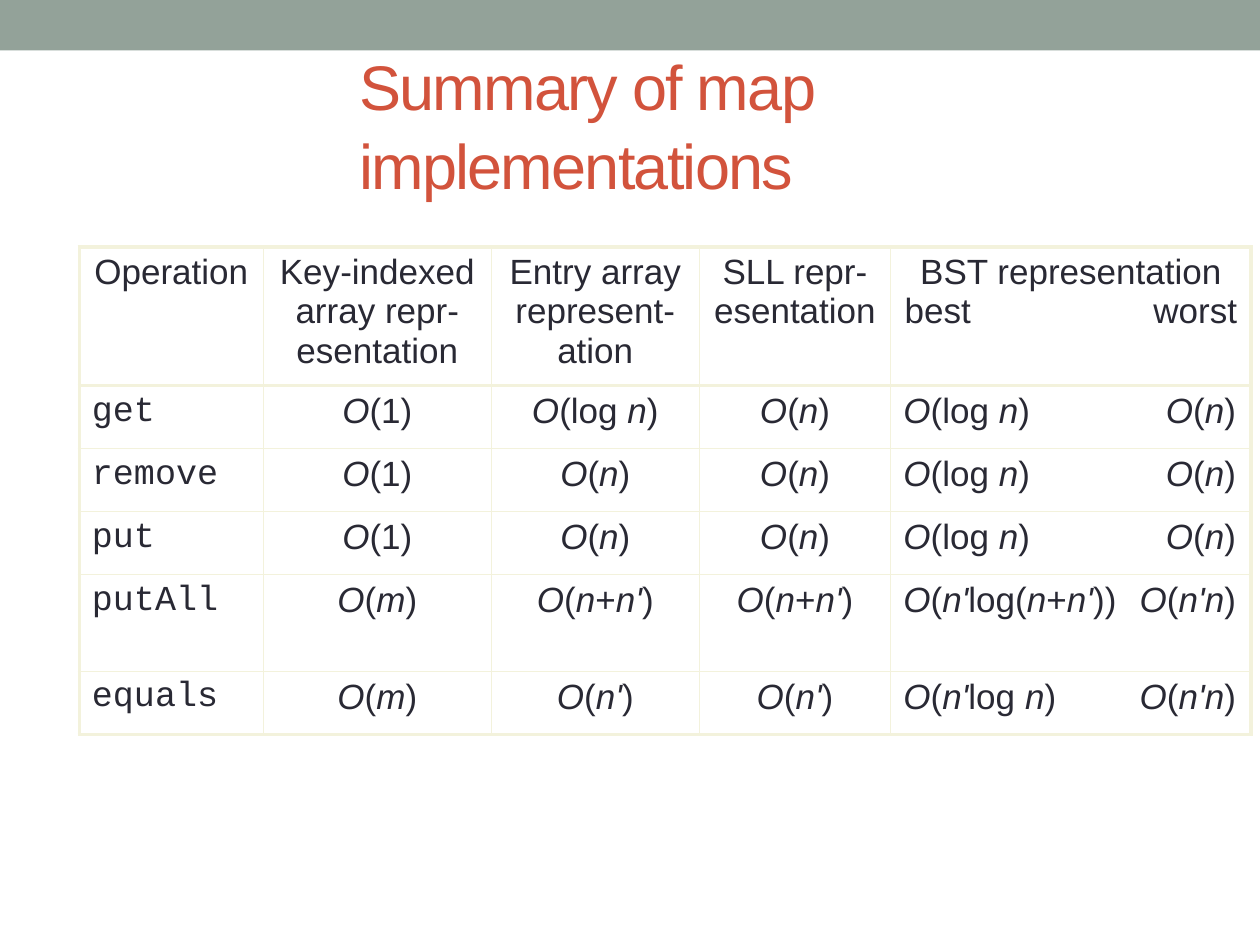
from lxml import etree
from pptx import Presentation
from pptx.dml.color import RGBColor
from pptx.enum.shapes import MSO_SHAPE
from pptx.enum.text import MSO_ANCHOR, MSO_AUTO_SIZE, PP_ALIGN
from pptx.oxml.ns import qn
from pptx.util import Inches, Pt

RECTANGLE = MSO_SHAPE.RECTANGLE
LEFT, CENTER = PP_ALIGN.LEFT, PP_ALIGN.CENTER
MIDDLE, NO_AUTOFIT = MSO_ANCHOR.MIDDLE, MSO_AUTO_SIZE.NONE

BAND, TITLE, TEXT, BORDER, WHITE = "93A299", "D2533C", "292934", "F3F2DC", "FFFFFF"
THICK, THIN = Pt(2.25), Pt(1)

COLUMN_WIDTHS = [1.46, 1.81, 1.65, 1.52, 2.86]
ROW_HEIGHTS = [1.1, 0.5, 0.5, 0.5, 0.77, 0.5]
TAB_POSITION = Inches(2.64)

# Asterisks enclose italic text.
ROWS = [
    ["Operation", "Key-indexed array repr-esentation", "Entry array represent-ation",
     "SLL repr-esentation", "BST representation\nbest\tworst"],
    ["get", "*O*(1)", "*O*(log *n*)", "*O*(*n*)", "*O*(log *n*)\t*O*(*n*)"],
    ["remove", "*O*(1)", "*O*(*n*)", "*O*(*n*)", "*O*(log *n*)\t*O*(*n*)"],
    ["put", "*O*(1)", "*O*(*n*)", "*O*(*n*)", "*O*(log *n*)\t*O*(*n*)"],
    ["putAll", "*O*(*m*)", "*O*(*n*+*n'*)", "*O*(*n*+*n'*)",
     "*O*(*n'*log(*n*+*n'*))\t*O*(*n'n*)"],
    ["equals", "*O*(*m*)", "*O*(*n'*)", "*O*(*n'*)", "*O*(*n'*log *n*)\t*O*(*n'n*)"],
]


def color(value):
    return RGBColor.from_string(value)


def add_border(cell, side, width):
    line = etree.SubElement(cell._tc.get_or_add_tcPr(), qn(f"a:ln{side}"), w=str(width))
    fill = etree.SubElement(line, qn("a:solidFill"))
    etree.SubElement(fill, qn("a:srgbClr"), val=BORDER)


presentation = Presentation()
presentation.slide_width, presentation.slide_height = Inches(10), Inches(7.5)
slide = presentation.slides.add_slide(presentation.slide_layouts[5])

# Top band, behind everything else
band = slide.shapes.add_shape(RECTANGLE, 0, 0, Inches(10), Inches(0.4))
band.shadow.inherit = False
band.fill.solid()
band.fill.fore_color.rgb = color(BAND)
band.line.fill.background()
slide.shapes._spTree.insert(2, band._element)

# Title
title = slide.shapes.title
title.left, title.top = Inches(2.75), Inches(0.58)
title.width, title.height = Inches(6.72), Inches(0.79)
frame = title.text_frame
frame.text = "Summary of map implementations"
frame.vertical_anchor, frame.auto_size, frame.word_wrap = MIDDLE, NO_AUTOFIT, True
paragraph = frame.paragraphs[0]
paragraph.alignment, paragraph.line_spacing = LEFT, 1.05
run = paragraph.runs[0]
run.font.name, run.font.size = "Arial", Pt(36)
run.font.color.rgb = color(TITLE)
run._r.get_or_add_rPr().set("spc", "-100")

# Table of complexities
table = slide.shapes.add_table(
    len(ROWS), len(COLUMN_WIDTHS), Inches(0.63), Inches(1.96),
    Inches(sum(COLUMN_WIDTHS)), Inches(sum(ROW_HEIGHTS))).table
table.first_row = table.horz_banding = False
for column, width in zip(table.columns, COLUMN_WIDTHS):
    column.width = Inches(width)
for row, height in zip(table.rows, ROW_HEIGHTS):
    row.height = Inches(height)

last_row, last_column = len(ROWS) - 1, len(COLUMN_WIDTHS) - 1
for row_index, texts in enumerate(ROWS):
    for column_index, text in enumerate(texts):
        cell = table.cell(row_index, column_index)
        thick_sides = {
            "L": column_index == 0,
            "R": column_index == last_column,
            "T": row_index <= 1,
            "B": row_index in (0, last_row),
        }
        for side, is_thick in thick_sides.items():
            add_border(cell, side, THICK if is_thick else THIN)
        cell.fill.solid()
        cell.fill.fore_color.rgb = color(WHITE)

        is_header = row_index == 0
        paragraph = cell.text_frame.paragraphs[0]
        centered = is_header or 0 < column_index < last_column
        paragraph.alignment = CENTER if centered else LEFT
        properties = paragraph._p.get_or_add_pPr()
        spacing = etree.SubElement(properties, qn("a:spcBef"))
        etree.SubElement(spacing, qn("a:spcPct"), val="50000")
        if column_index == last_column:
            tabs = etree.SubElement(properties, qn("a:tabLst"))
            etree.SubElement(tabs, qn("a:tab"), pos=str(TAB_POSITION), algn="r")

        is_code = column_index == 0 and not is_header
        for line_index, line in enumerate(text.split("\n")):
            if line_index:
                paragraph.add_line_break()
            for part_index, part in enumerate(line.split("*")):
                if not part:
                    continue
                run = paragraph.add_run()
                run.text = part
                font_format = {
                    "name": "Courier New" if is_code else "Arial",
                    "size": Pt(20),
                    "bold": False,
                    "italic": part_index % 2 == 1,
                }
                for attribute, value in font_format.items():
                    setattr(run.font, attribute, value)
                run.font.color.rgb = color(TEXT)

presentation.save("out.pptx")
